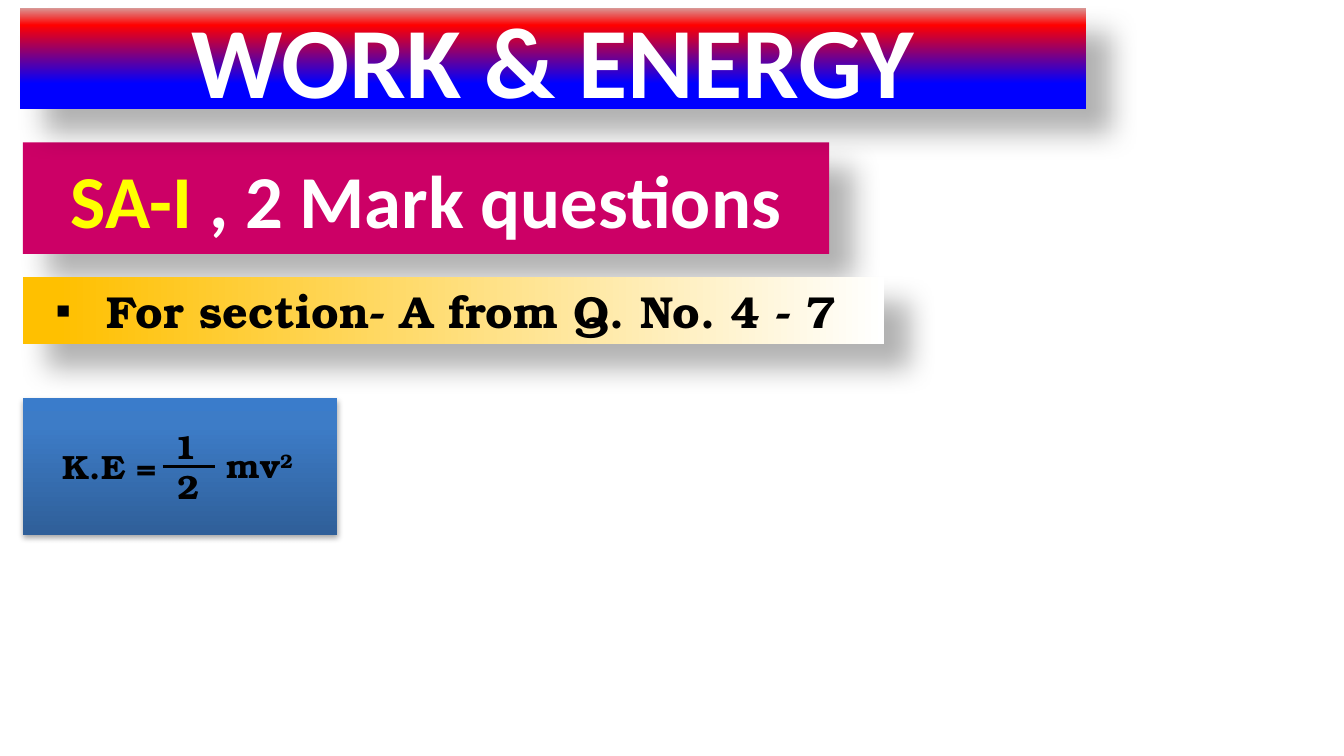
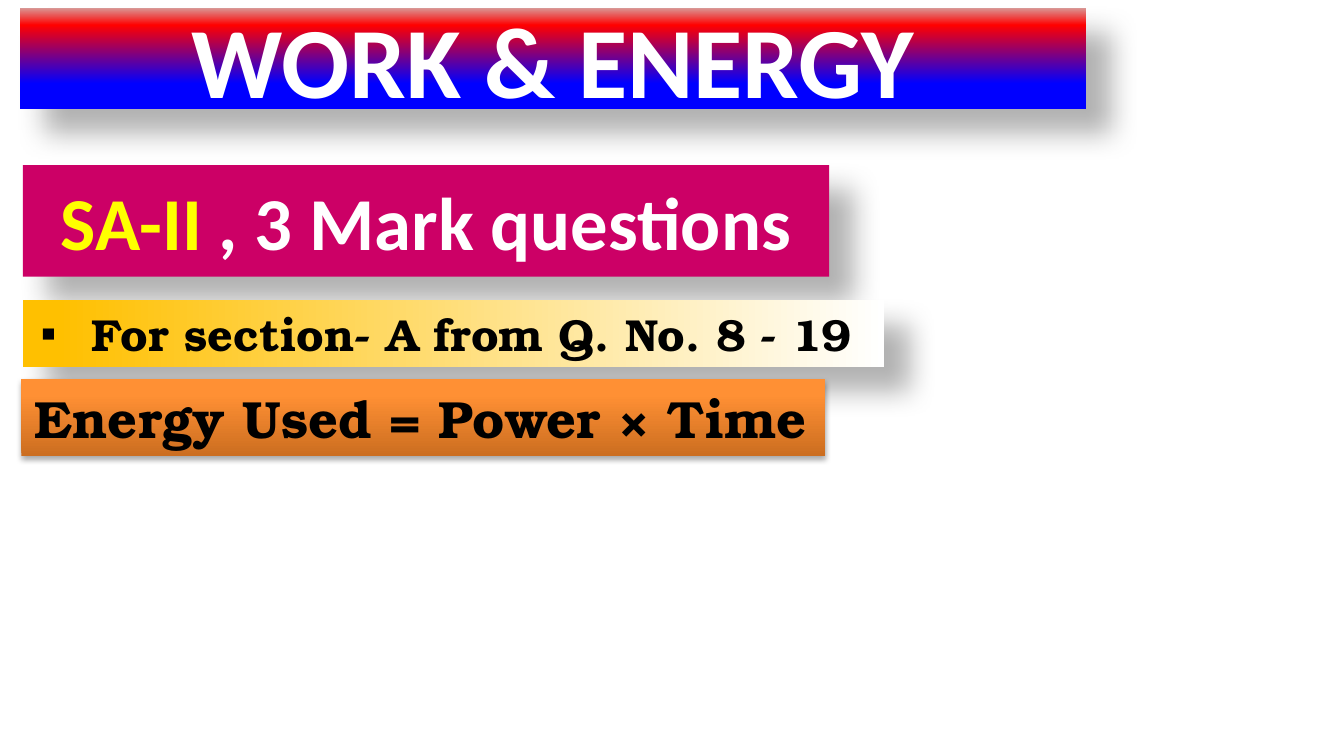
from lxml import etree
from pptx import Presentation
from pptx.dml.color import RGBColor
from pptx.enum import shapes, text
from pptx.oxml import ns
from pptx.util import Inches, Pt

WHITE = RGBColor(0xFF, 0xFF, 0xFF)
BLACK = RGBColor(0x00, 0x00, 0x00)
BLUE = RGBColor(0x00, 0x00, 0xFF)
RED = RGBColor(0xFF, 0x00, 0x00)
ROSE = RGBColor(0xD9, 0x96, 0x94)
PINK = RGBColor(0xCC, 0x00, 0x66)
YELLOW = RGBColor(0xFF, 0xFF, 0x00)
GOLD = RGBColor(0xFF, 0xC0, 0x00)

TITLE_FADE = [(25, BLUE), (83, RED), (100, ROSE)]
GOLD_FADE = [(4, GOLD), (100, WHITE)]
STEEL_FADE = [(0, RGBColor(0x2F, 0x5F, 0x99)), (80, RGBColor(0x3D, 0x7C, 0xC7)),
              (100, RGBColor(0x3A, 0x7C, 0xCB))]
AMBER_FADE = [(0, RGBColor(0xCC, 0x6E, 0x20)), (80, RGBColor(0xFF, 0x90, 0x34)),
              (100, RGBColor(0xFF, 0x91, 0x36))]

FAR = dict(alpha=30, blur=15, dist=18, angle=45)
NEAR = dict(alpha=35, blur=3.1, dist=1.8, angle=90)
SANS = dict(name="Calibri", bold=True)
SERIF = dict(name="TeX Gyre Bonum", bold=True)
GROW = dict(word_wrap=False, auto_size=text.MSO_AUTO_SIZE.SHAPE_TO_FIT_TEXT)
MID = dict(word_wrap=True, vertical_anchor=text.MSO_ANCHOR.MIDDLE)
CENTER = text.PP_ALIGN.CENTER
LEFT = text.PP_ALIGN.LEFT


def node(parent, tag, **attrs):
    item = etree.SubElement(parent, ns.qn("a:" + tag))
    for key, value in attrs.items():
        item.set(key, str(value))
    return item


def shade(shape, alpha, blur, dist, angle):
    shape.shadow.inherit = False
    effects = shape.element.spPr.find(ns.qn("a:effectLst"))
    outer = node(effects, "outerShdw", blurRad=int(Pt(blur)), dist=int(Pt(dist)),
                 dir=angle * 60000, algn="tl", rotWithShape=0)
    node(node(outer, "srgbClr", val=BLACK), "alpha", val=alpha * 1000)


def fade(shape, stops, angle):
    shape.fill.gradient()
    shape.fill.gradient_angle = angle
    group = shape.element.spPr.find(".//" + ns.qn("a:gsLst"))
    group.clear()
    for place, color in stops:
        node(node(group, "gs", pos=place * 1000), "srgbClr", val=color)


def band(slide, box, paint, shadow, angle=90):
    shape = slide.shapes.add_shape(shapes.MSO_SHAPE.RECTANGLE, *map(Inches, box))
    if isinstance(paint, list):
        fade(shape, paint, angle)
    else:
        shape.fill.solid()
        shape.fill.fore_color.rgb = paint
    shape.line.fill.background()
    shade(shape, **shadow)
    return shape


def write(shape, runs, face, size, frame, align=LEFT):
    for key, value in frame.items():
        setattr(shape.text_frame, key, value)
    para = shape.text_frame.paragraphs[0]
    para.alignment = align
    for words, color in runs:
        run = para.add_run()
        run.text = words
        for key, value in dict(face, size=Pt(size)).items():
            setattr(run.font, key, value)
        run.font.color.rgb = color
    return para


def title(slide, box):
    write(band(slide, box, TITLE_FADE, FAR), [("WORK & ENERGY", WHITE)],
          SANS, 54, MID, CENTER)


def marks(slide, box, level, count):
    runs = [(level, YELLOW), (f" , {count} Mark questions", WHITE)]
    write(band(slide, box, PINK, FAR), runs, SANS, 40, MID, CENTER)


def section(slide, box, span):
    shape = band(slide, box, GOLD_FADE, FAR, 0)
    props = shape.text_frame.paragraphs[0]._p.get_or_add_pPr()
    indent = int(Inches(0.38))
    props.set("marL", str(indent))
    props.set("indent", str(-indent))
    node(props, "buFont", typeface="Arial")
    node(props, "buChar", char="▪")
    write(shape, [(f"For section- A from Q. No. {span} ", BLACK)],
          SERIF, 24, GROW, CENTER)


def kinetic(slide, box):
    left, top = box[:2]
    band(slide, box, STEEL_FADE, NEAR)
    group = slide.shapes.add_group_shape()
    terms = [(0.2, 0.31, 0.91, ["K.E ="]), (1.03, 0.16, 0.37, ["1"]),
             (1.05, 0.46, 0.37, ["2"]), (1.42, 0.3, 0.72, ["mv", "2"])]
    for x, y, width, words in terms:
        label = group.shapes.add_textbox(*map(Inches, (left + x, top + y, width, 0.4)))
        para = write(label, [(word, BLACK) for word in words], SERIF, 18, GROW)
        for power in para.runs[1:]:
            power._r.get_or_add_rPr().set("baseline", "30000")
    ends = (left + 1.04, top + 0.51, left + 1.43, top + 0.51)
    bar = group.shapes.add_connector(shapes.MSO_CONNECTOR.STRAIGHT, *map(Inches, ends))
    bar.line.color.rgb = BLACK
    bar.line.width = Pt(1.5)
    node(bar.element.spPr, "effectLst")


def power(slide, box):
    write(band(slide, box, AMBER_FADE, NEAR),
          [("Energy Used = Power × Time", BLACK)], SERIF, 28, GROW)


def page(deck, top, level, count, span, rule, box):
    slide = deck.slides.add_slide(deck.slide_layouts[6])
    marks(slide, (0.17, top, 6, 0.83), level, count)
    title(slide, (0.15, 0.06, 7.93, 0.75))
    section(slide, (0.17, top + 1, 6.41, 0.5), span)
    rule(slide, box)


def main():
    deck = Presentation()
    deck.slide_width = Inches(10)
    deck.slide_height = deck.slide_width * 9 // 16
    page(deck, 1.06, "SA-I", 2, "4 - 7", kinetic, (0.17, 2.96, 2.34, 1.02))
    page(deck, 1.23, "SA-II", 3, "8 - 19", power, (0.16, 2.82, 5.98, 0.57))
    deck.save("out.pptx")


if __name__ == "__main__":
    main()
